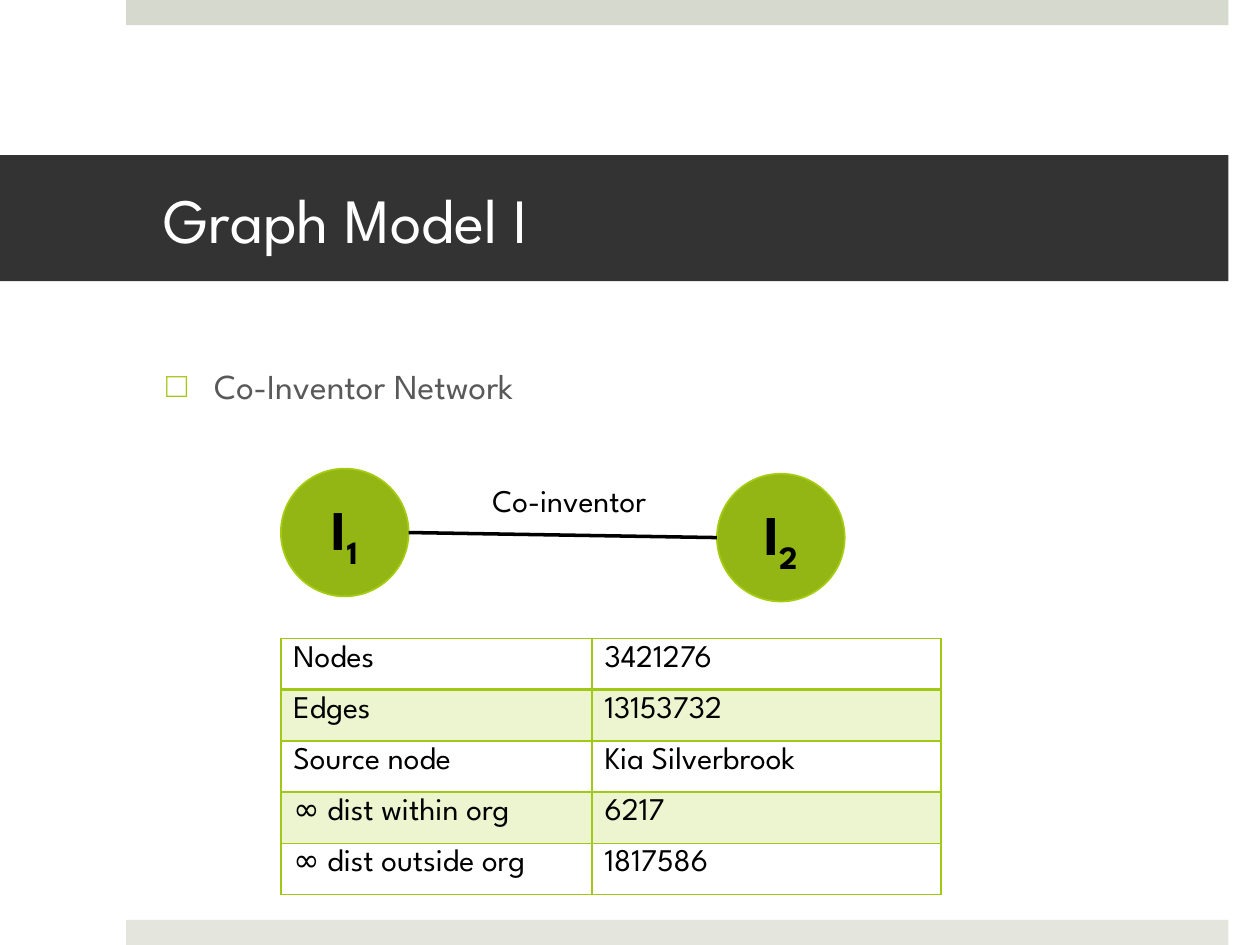
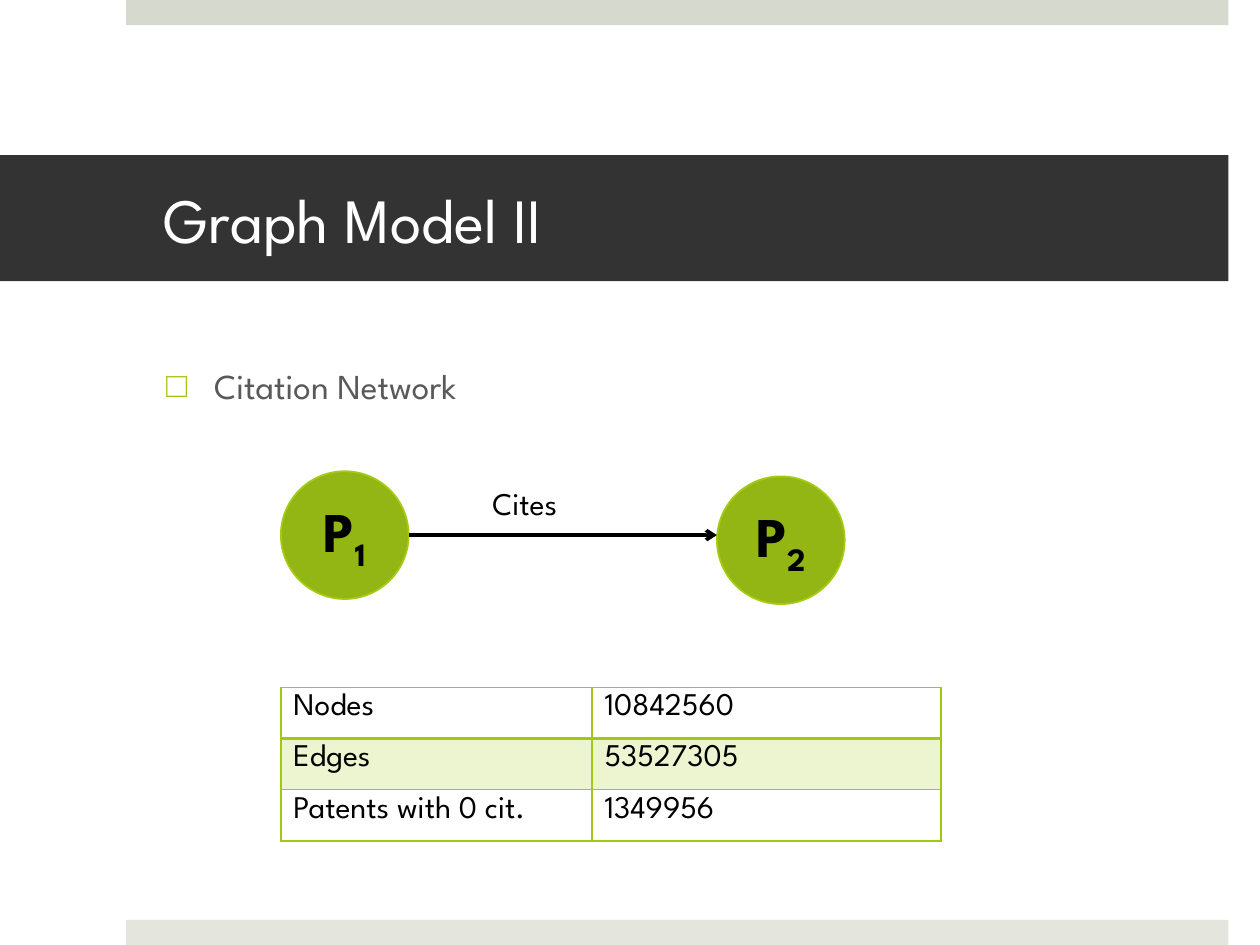
import lxml.etree
import pptx
import pptx.dml.color
import pptx.enum.shapes
import pptx.enum.text
import pptx.oxml.ns
import pptx.util

Pt = pptx.util.Pt
qn = pptx.oxml.ns.qn
MSO_SHAPE = pptx.enum.shapes.MSO_SHAPE
ANCHOR = pptx.enum.text.MSO_ANCHOR
ALIGN = pptx.enum.text.PP_ALIGN
AUTO_SIZE = pptx.enum.text.MSO_AUTO_SIZE

COLORS = {
    "top band": "D6D9CD",
    "bottom band": "E4E6DE",
    "title band": "333333",
    "title": "FFFFFF",
    "topic": "595959",
    "accent": "A2C816",
    "node": "93B614",
    "node outline": "A5CC12",
    "ink": "000000",
}
FONT = "League Spartan"

NODE_SIZE = 73
NODE_LEFTS = (160.5, 409.7)
NODE_DROP = 2.9
LABEL_LEFT = 274.3
TABLE_LEFT = 160.5
COLUMN_WIDTHS = (177.8, 199.4)
ROW_HEIGHT = 29.25


def rgb(color):
    return pptx.dml.color.RGBColor.from_string(COLORS[color])


def apply_format(target, values):
    for attribute, value in values.items():
        setattr(target, attribute, value)


def place(shape, left, top, width, height):
    apply_format(shape, {"left": Pt(left), "top": Pt(top),
                         "width": Pt(width), "height": Pt(height)})


def style_font(font, size, color, bold=False):
    apply_format(font, {"name": FONT, "size": Pt(size), "bold": bold})
    font.color.rgb = rgb(color)


def add_filled(slide, preset, box, color, outline=None):
    shape = slide.shapes.add_shape(preset, *map(Pt, box))
    shape.shadow.inherit = False
    shape.fill.solid()
    shape.fill.fore_color.rgb = rgb(color)
    if outline:
        shape.line.color.rgb = rgb(outline)
        shape.line.width = Pt(1)
    else:
        shape.line.fill.background()
    return shape


def set_title(slide, text):
    title = slide.shapes.title
    place(title, 0, 88.6, 702, 72)
    title.fill.solid()
    title.fill.fore_color.rgb = rgb("title band")
    frame = title.text_frame
    frame.text = text
    apply_format(frame, {
        "margin_left": Pt(93.6), "margin_right": Pt(21.6),
        "margin_top": Pt(3.6), "margin_bottom": Pt(3.6),
        "vertical_anchor": ANCHOR.MIDDLE, "auto_size": AUTO_SIZE.NONE,
    })
    paragraph = frame.paragraphs[0]
    paragraph.alignment = ALIGN.LEFT
    style_font(paragraph.font, 36, "title")


def set_topic(slide, text):
    body = slide.placeholders[1]
    place(body, 87.8, 204.5, 599, 288.7)
    body.text_frame.text = text
    body.text_frame.auto_size = AUTO_SIZE.NONE
    paragraph = body.text_frame.paragraphs[0]
    paragraph.space_before = Pt(0)
    properties = paragraph._p.get_or_add_pPr()
    properties.set("marL", str(Pt(27.4)))
    properties.set("indent", str(Pt(-27.4)))
    bullet_color = lxml.etree.SubElement(properties, qn("a:buClr"))
    lxml.etree.SubElement(bullet_color, qn("a:srgbClr"), val=COLORS["accent"])
    lxml.etree.SubElement(properties, qn("a:buChar"), char="□")
    style_font(paragraph.font, 20, "topic")


def add_node(slide, left, top, letter, index):
    node = add_filled(slide, MSO_SHAPE.OVAL, (left, top, NODE_SIZE, NODE_SIZE),
                      "node", "node outline")
    node.text_frame.vertical_anchor = ANCHOR.MIDDLE
    paragraph = node.text_frame.paragraphs[0]
    paragraph.alignment = ALIGN.CENTER
    for text in (letter, index):
        run = paragraph.add_run()
        run.text = text
        style_font(run.font, 32, "ink", bold=True)
    run.font._element.set("baseline", "-25000")


def add_edge(slide, start, end, directed):
    edge = slide.shapes.add_connector(
        pptx.enum.shapes.MSO_CONNECTOR.STRAIGHT, *map(Pt, start + end))
    edge.line.color.rgb = rgb("ink")
    edge.line.width = Pt(2)
    if directed:
        lxml.etree.SubElement(edge.line._get_or_add_ln(), qn("a:tailEnd"),
                              type="arrow")
    lxml.etree.SubElement(edge._element.spPr, qn("a:effectLst"))


def add_edge_label(slide, text, top, width):
    label = slide.shapes.add_textbox(Pt(LABEL_LEFT), Pt(top), Pt(width), Pt(29))
    label.text_frame.text = text
    apply_format(label.text_frame, {"word_wrap": False,
                                    "auto_size": AUTO_SIZE.SHAPE_TO_FIT_TEXT})
    style_font(label.text_frame.paragraphs[0].font, 18, "ink")


def add_graph(slide, letter, relation, top, label_width, directed):
    """Draw two nodes joined by a labelled edge."""
    for position, left in enumerate(NODE_LEFTS):
        add_node(slide, left, top + position * NODE_DROP, letter,
                 str(position + 1))
    middle = top + NODE_SIZE / 2
    end_middle = middle if directed else middle + NODE_DROP
    add_edge(slide, (NODE_LEFTS[0] + NODE_SIZE, middle),
             (NODE_LEFTS[1], end_middle), directed)
    add_edge_label(slide, relation, top + 3.6, label_width)


def set_borders(cell, widths):
    properties = cell._tc.get_or_add_tcPr()
    for side, width in widths.items():
        border = lxml.etree.SubElement(properties, qn(f"a:ln{side}"),
                                       w=str(Pt(width)))
        fill = lxml.etree.SubElement(border, qn("a:solidFill"))
        lxml.etree.SubElement(fill, qn("a:srgbClr"), val=COLORS["accent"])


def fill_cell(cell, shaded):
    if not shaded:
        cell.fill.background()
        return
    cell.fill.solid()
    cell.fill.fore_color.rgb = rgb("accent")
    tint = cell._tc.tcPr.find(f"{qn('a:solidFill')}/{qn('a:srgbClr')}")
    lxml.etree.SubElement(tint, qn("a:alpha"), val="20000")


def add_statistics(slide, top, rows):
    table = slide.shapes.add_table(
        len(rows), len(COLUMN_WIDTHS), Pt(TABLE_LEFT), Pt(top),
        Pt(sum(COLUMN_WIDTHS)), Pt(ROW_HEIGHT * len(rows))).table
    apply_format(table, {"first_row": False, "horz_banding": False})
    for column, width in zip(table.columns, COLUMN_WIDTHS):
        column.width = Pt(width)
    for row_number, values in enumerate(rows):
        table.rows[row_number].height = Pt(ROW_HEIGHT)
        for column_number, value in enumerate(values):
            cell = table.cell(row_number, column_number)
            cell.text = value
            style_font(cell.text_frame.paragraphs[0].font, 18, "ink")
            set_borders(cell, {"L": 1, "R": 1,
                               "T": 2 if row_number == 1 else 1,
                               "B": 2 if row_number == 0 else 1})
            fill_cell(cell, shaded=row_number % 2 == 1)


def add_model_slide(deck, title, topic):
    slide = deck.slides.add_slide(deck.slide_layouts[1])
    for top, color in ((0, "top band"), (525.6, "bottom band")):
        add_filled(slide, MSO_SHAPE.RECTANGLE, (72, top, 630, 14.4), color)
    set_title(slide, title)
    set_topic(slide, topic)
    return slide


def main():
    deck = pptx.Presentation()
    apply_format(deck, {"slide_width": Pt(720), "slide_height": Pt(540)})

    co_inventors = add_model_slide(deck, "Graph Model I", "Co-Inventor Network")
    add_graph(co_inventors, "I", "Co-inventor", top=267.8, label_width=118,
              directed=False)
    add_statistics(co_inventors, 365, [
        ("Nodes", "3421276"),
        ("Edges", "13153732"),
        ("Source node", "Kia Silverbrook"),
        ("∞ dist within org", "6217"),
        ("∞ dist outside org", "1817586"),
    ])

    citations = add_model_slide(deck, "Graph Model II", "Citation Network")
    add_graph(citations, "P", "Cites", top=269.3, label_width=58.3,
              directed=True)
    add_statistics(citations, 392.8, [
        ("Nodes", "10842560"),
        ("Edges", "53527305"),
        ("Patents with 0 cit.", "1349956"),
    ])

    deck.save("out.pptx")


if __name__ == "__main__":
    main()
